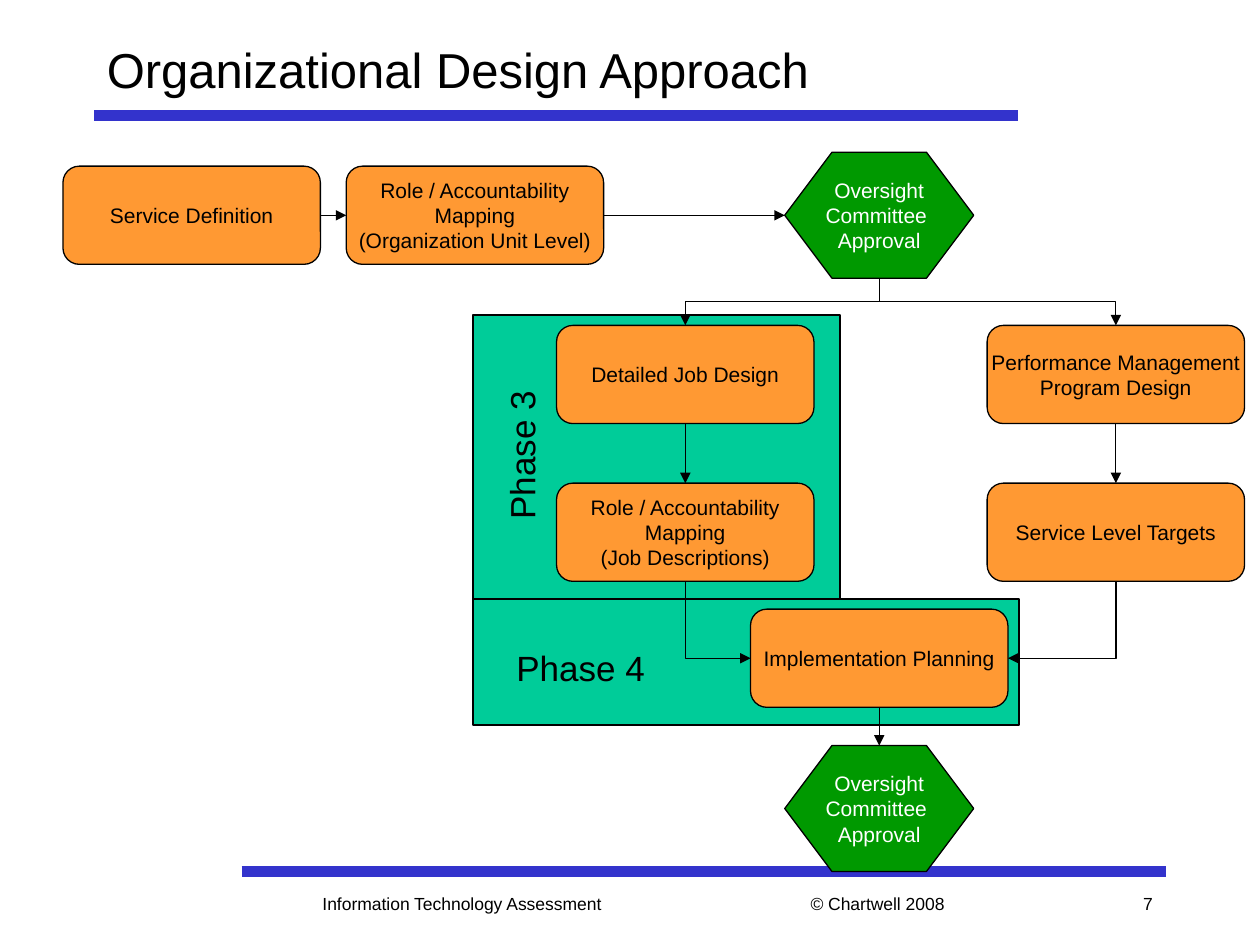
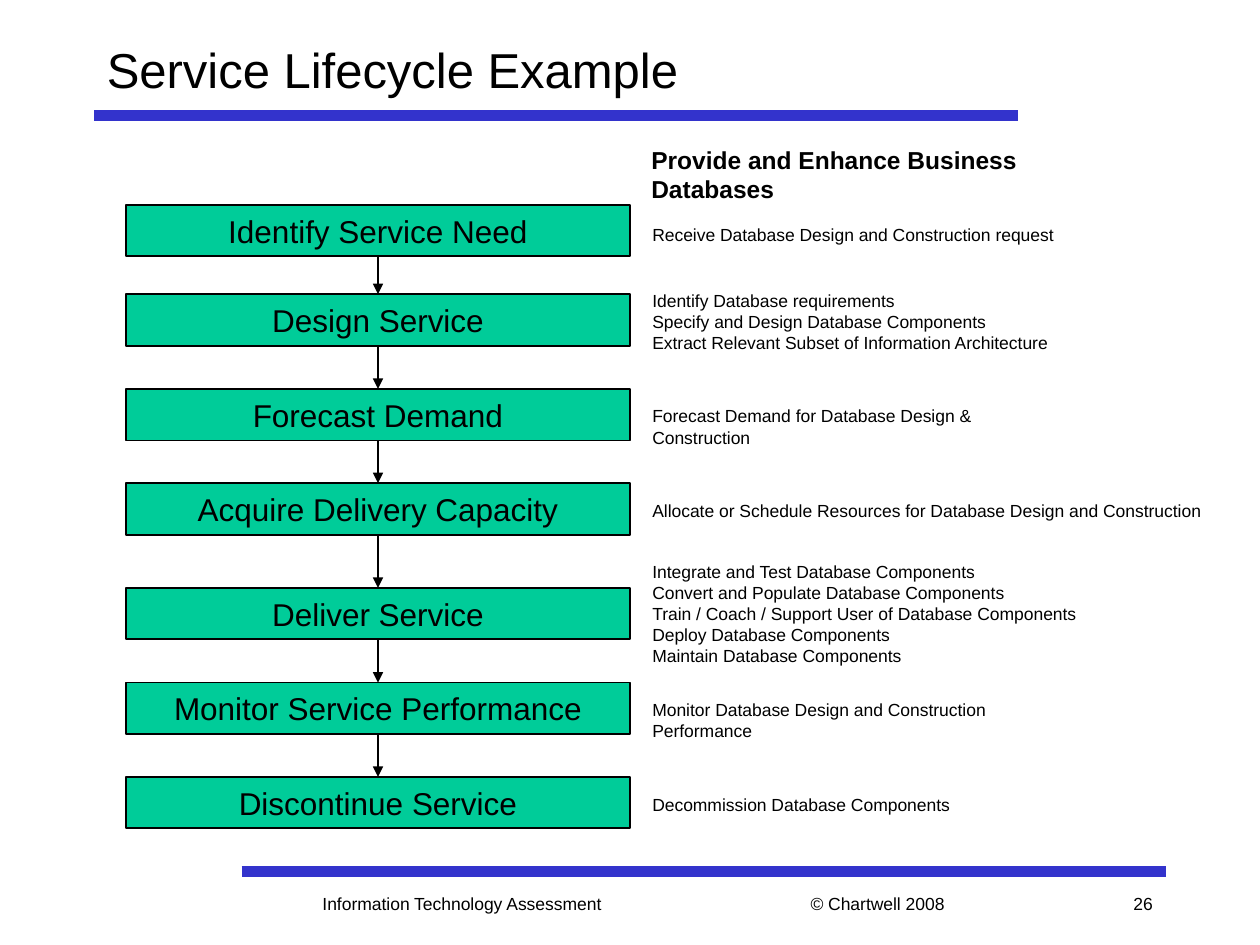
from lxml.etree import SubElement
from pptx import Presentation
from pptx.dml.color import RGBColor
from pptx.enum.shapes import MSO_CONNECTOR, MSO_SHAPE
from pptx.enum.text import MSO_ANCHOR, PP_ALIGN
from pptx.oxml.ns import qn
from pptx.util import Cm, Pt

BLACK = RGBColor(0x00, 0x00, 0x00)
WHITE = RGBColor(0xFF, 0xFF, 0xFF)
BLUE = RGBColor(0x33, 0x33, 0xCC)
TEAL = RGBColor(0x00, 0xCC, 0x99)
ORANGE = RGBColor(0xFF, 0x99, 0x33)
GREEN = RGBColor(0x00, 0x99, 0x00)
FONT = "Arial"


def add_box(s, at, text="", size=12, shape=None, fill=None, weight=0.75, color=BLACK,
            align=PP_ALIGN.CENTER, anchor=MSO_ANCHOR.MIDDLE, wrap=False, bold=False):
    """Add a filled shape, or a plain text box when no shape is named; at is in cm."""
    at = [Cm(v) for v in at]
    if shape is None:
        sp = s.shapes.add_textbox(*at)
    else:
        sp = s.shapes.add_shape(shape, *at)
        sp.shadow.inherit = False
        sp.fill.solid()
        sp.fill.fore_color.rgb = fill
        sp.line.color.rgb = BLACK
        sp.line.width = Pt(weight)
    tf = sp.text_frame
    tf.text = text
    tf.word_wrap = wrap
    tf.vertical_anchor = anchor
    for p in tf.paragraphs:
        p.alignment = align
        p.font.name, p.font.size, p.font.bold = FONT, Pt(size), bold
        p.font.color.rgb = color
    return sp


def add_line(s, start, end, weight=0.75, color=BLACK, arrow=True, bend=None):
    """Draw a line between two points in cm; a bend names an elbow that sets out downwards."""
    (x1, y1), (x2, y2) = start, end
    kind = MSO_CONNECTOR.ELBOW if bend else MSO_CONNECTOR.STRAIGHT
    cxn = s.shapes.add_connector(kind, Cm(x1), Cm(y1), Cm(x2), Cm(y2))
    cxn.line.color.rgb = color
    cxn.line.width = Pt(weight)
    sp_pr = cxn._element.spPr
    if arrow:
        SubElement(sp_pr.find(qn("a:ln")), qn("a:tailEnd"), type="triangle")
    SubElement(sp_pr, qn("a:effectLst"))
    if bend:
        # The elbow leaves sideways by default, so its frame is turned a quarter.
        width, height = y2 - y1, abs(x2 - x1)
        cxn.left, cxn.top = Cm((x1 + x2 - width) / 2), Cm((y1 + y2 - height) / 2)
        cxn.width, cxn.height = Cm(width), Cm(height)
        xfrm = sp_pr.find(qn("a:xfrm"))
        xfrm.set("rot", str((270 if x2 > x1 else 90) * 60000))
        xfrm.set("flipH", "1" if x2 > x1 else "0")
        sp_pr.find(qn("a:prstGeom")).set("prst", bend)


prs = Presentation()
prs.slide_width, prs.slide_height = Cm(25.4), Cm(19.05)

# Title, bands and footers on both slides
slides = []
for title, number in [("Organizational Design Approach", "7"), ("Service Lifecycle Example", "26")]:
    s = prs.slides.add_slide(prs.slide_layouts[5])
    slides.append(s)
    for left, y in [(1.9, 2.33), (4.87, 17.57)]:
        add_line(s, (left, y), (left + 18.63, y), weight=6, color=BLUE, arrow=False)
    for text, left, width, align in [
        ("© Chartwell 2008", 16.09, 3.39, PP_ALIGN.LEFT),
        ("Information Technology Assessment", 5.29, 8.04, PP_ALIGN.CENTER),
        (number, 20.74, 2.75, PP_ALIGN.RIGHT),
    ]:
        add_box(s, (left, 17.78, width, 0.85), text, size=10, align=align)
    sp = s.shapes.title
    sp.left, sp.top, sp.width, sp.height = Cm(1.9), Cm(0.64), Cm(21.59), Cm(1.48)
    sp.text_frame.text = title
    sp.text_frame.vertical_anchor = MSO_ANCHOR.MIDDLE
    p = sp.text_frame.paragraphs[0]
    p.alignment = PP_ALIGN.LEFT
    p.font.name, p.font.size = FONT, Pt(28)
    p.font.color.rgb = BLACK

# Organizational design flow
flow, lifecycle = slides
for at in [(9.53, 12.07, 11.01, 2.54), (9.53, 6.35, 7.41, 5.72)]:
    add_box(flow, at, shape=MSO_SHAPE.RECTANGLE, fill=TEAL, weight=1)

STEP_W, STEP_H = 5.19, 1.98
GATE_W, GATE_H = 3.81, 2.54
ROW_1, ROW_2, ROW_3, ROW_4 = 3.35, 6.56, 9.74, 12.28
GATE_1, GATE_2 = 3.07, 15.03
SERVICE, MAPPING, JOBS, PLANNING, TARGETS = 1.27, 6.98, 11.22, 15.13, 19.9
for left, top, text in [
    (SERVICE, ROW_1, "Service Definition"),
    (MAPPING, ROW_1, "Role / Accountability\nMapping\n(Organization Unit Level)"),
    (JOBS, ROW_2, "Detailed Job Design"),
    (TARGETS, ROW_2, "Performance Management\nProgram Design"),
    (TARGETS, ROW_3, "Service Level Targets"),
    (JOBS, ROW_3, "Role / Accountability\nMapping\n(Job Descriptions)"),
    (PLANNING, ROW_4, "Implementation Planning"),
]:
    add_box(flow, (left, top, STEP_W, STEP_H), text, shape=MSO_SHAPE.ROUNDED_RECTANGLE, fill=ORANGE)

gate_x = PLANNING + STEP_W / 2
gate_left = gate_x - GATE_W / 2
for top in (GATE_1, GATE_2):
    sp = add_box(flow, (gate_left, top, GATE_W, GATE_H), "Oversight\nCommittee \nApproval",
                 shape=MSO_SHAPE.HEXAGON, fill=GREEN, color=WHITE)
    sp.adjustments[0] = 0.375

row_1_y, row_4_y = ROW_1 + STEP_H / 2, ROW_4 + STEP_H / 2
jobs_x, targets_x = JOBS + STEP_W / 2, TARGETS + STEP_W / 2
add_line(flow, (SERVICE + STEP_W, row_1_y), (MAPPING, row_1_y))
add_line(flow, (MAPPING + STEP_W, row_1_y), (gate_left, row_1_y))
for x, planning_side in [(jobs_x, PLANNING), (targets_x, PLANNING + STEP_W)]:
    add_line(flow, (gate_x, GATE_1 + GATE_H), (x, ROW_2), bend="bentConnector3")
    add_line(flow, (x, ROW_2 + STEP_H), (x, ROW_3))
    add_line(flow, (x, ROW_3 + STEP_H), (planning_side, row_4_y), bend="bentConnector2")
add_line(flow, (gate_x, ROW_4 + STEP_H), (gate_x, GATE_2))

for text, left, top, rotation in [("Phase 3", 8.97, 8.61, 270), ("Phase 4", 10.16, 12.9, 0)]:
    sp = add_box(flow, (left, top, 3.1, 1.12), text, size=20, align=PP_ALIGN.LEFT, anchor=MSO_ANCHOR.TOP)
    sp.rotation = rotation

# Lifecycle stages: stage top, stage, note top, note width, note
STAGES = [
    (4.13, "Identify Service Need", 4.39, 8.59, "Receive Database Design and Construction request"),
    (5.93, "Design Service", 5.72, 8.48,
     "Identify Database requirements\nSpecify and Design Database Components\n"
     "Extract Relevant Subset of Information Architecture"),
    (7.84, "Forecast Demand", 8.05, 8.99, "Forecast Demand for Database Design & Construction"),
    (9.74, "Acquire Delivery Capacity", 9.96, 11.56,
     "Allocate or Schedule Resources for Database Design and Construction"),
    (11.85, "Deliver Service", 11.18, 9.07,
     "Integrate and Test Database Components\nConvert and Populate Database Components\n"
     "Train / Coach / Support User of Database Components\n"
     "Deploy Database Components\nMaintain Database Components"),
    (13.76, "Monitor Service Performance", 13.97, 9.32,
     "Monitor Database Design and Construction Performance"),
    (15.66, "Discontinue Service", 15.88, 6.5, "Decommission Database Components"),
]
STAGE_LEFT, STAGE_W, STAGE_H = 2.54, 10.16, 1.04
add_box(lifecycle, (12.88, 2.79, 10.49, 0.86), "Provide and Enhance Business Databases",
        size=14, align=PP_ALIGN.LEFT, anchor=MSO_ANCHOR.TOP, bold=True)
for top, stage, note_top, note_w, note in STAGES:
    add_box(lifecycle, (STAGE_LEFT, top, STAGE_W, STAGE_H), stage, size=18,
            shape=MSO_SHAPE.RECTANGLE, fill=TEAL, weight=1, wrap=True)
    add_box(lifecycle, (12.9, note_top, note_w, 0.69 + 0.42 * note.count("\n")), note, size=10,
            align=PP_ALIGN.LEFT, anchor=MSO_ANCHOR.TOP)
stage_x = STAGE_LEFT + STAGE_W / 2
for upper, lower in zip(STAGES, STAGES[1:]):
    add_line(lifecycle, (stage_x, upper[0] + STAGE_H), (stage_x, lower[0]), weight=1.5)

prs.save("out.pptx")
